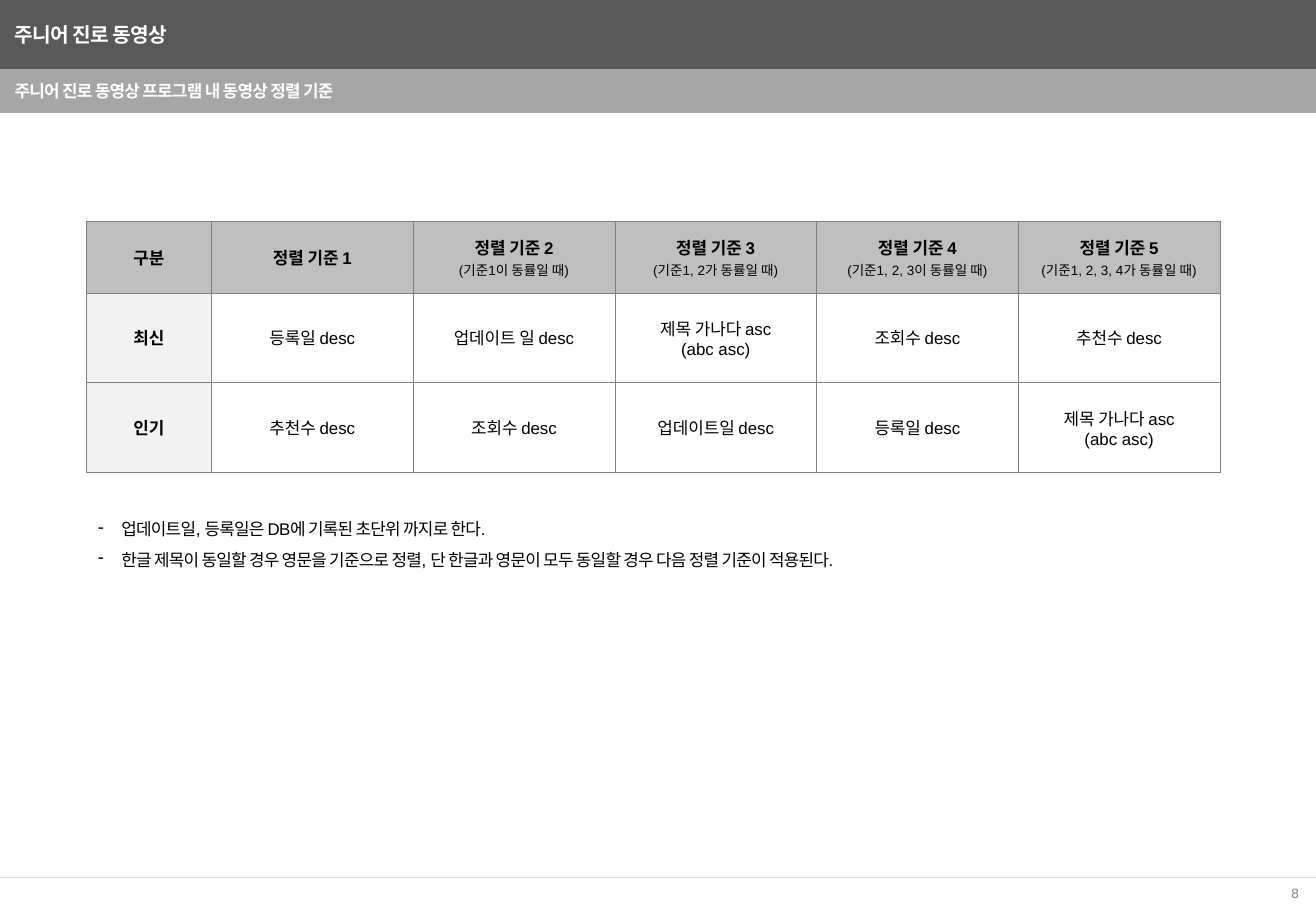
from pptx import Presentation
from pptx.dml.color import RGBColor
from pptx.enum.shapes import MSO_SHAPE, MSO_CONNECTOR
from pptx.enum.text import MSO_ANCHOR, MSO_AUTO_SIZE, PP_ALIGN
from pptx.oxml.ns import qn
from pptx.util import Inches, Pt
from lxml.etree import SubElement

TITLE = "주니어 진로 동영상"
SUB = "주니어 진로 동영상 프로그램 내 동영상 정렬 기준"
PAGE = "8"
ROWS = [
    ["구분", "정렬 기준 1", "정렬 기준 2\n(기준1이 동률일 때)",
     "정렬 기준 3\n(기준1, 2가 동률일 때)",
     "정렬 기준 4\n(기준1, 2, 3이 동률일 때)",
     "정렬 기준 5\n(기준1, 2, 3, 4가 동률일 때)"],
    ["최신", "등록일 desc", "업데이트 일 desc",
     "제목 가나다 asc\n(abc asc)", "조회수 desc", "추천수 desc"],
    ["인기", "추천수 desc", "조회수 desc", "업데이트일 desc",
     "등록일 desc", "제목 가나다 asc\n(abc asc)"],
]
NOTES = [
    "업데이트일, 등록일은 DB에 기록된 초단위 까지로 한다.",
    "한글 제목이 동일할 경우 영문을 기준으로 정렬, "
    "단 한글과 영문이 모두 동일할 경우 다음 정렬 기준이 적용된다.",
]
HEX = {"dark": "595959", "mid": "A6A6A6", "head": "BFBFBF", "side": "F2F2F2",
       "white": "FFFFFF", "black": "000000", "grid": "808080", "rule": "D9D9D9"}
LATIN, KOREAN = "Arial", "Noto Sans CJK KR"
WIDE, HIGH = 10.83, 7.5
BAR, BAND = 0.57, 0.36
LEFT, TOP = 0.71, 1.82
COLS = [1.03] + [1.66] * 5
TALL = [0.59, 0.74, 0.74]
FOOT = 7.22


def color(key):
    return RGBColor.from_string(HEX[key])


def paint(para, size, key="black", bold=False, tight=False, face=LATIN):
    for run in para.runs:
        font = run.font
        font.size, font.bold, font.name = Pt(size), bold, face
        font.color.rgb = color(key)
        props = run._r.get_or_add_rPr()
        SubElement(props, qn("a:ea")).set("typeface", KOREAN)
        if tight:
            props.set("spc", "-40")


def frame(shape, text, left=0.09, anchor=MSO_ANCHOR.MIDDLE):
    body = shape.text_frame
    body.text = text
    body.word_wrap = True
    body.auto_size = MSO_AUTO_SIZE.NONE
    body.vertical_anchor = anchor
    body.margin_left, body.margin_right = Inches(left), Inches(0.09)
    body.margin_top = body.margin_bottom = Inches(0.04)
    return body.paragraphs


def bar(top, height, key):
    shape = slide.shapes.add_shape(
        MSO_SHAPE.RECTANGLE, 0, Inches(top), Inches(WIDE), Inches(height))
    shape.shadow.inherit = False
    shape.fill.solid()
    shape.fill.fore_color.rgb = color(key)
    shape.line.fill.background()
    return shape


def box(left, top, width, height):
    return slide.shapes.add_textbox(*map(Inches, (left, top, width, height)))


def border(cell):
    props = cell._tc.get_or_add_tcPr()
    for side in ("lnL", "lnR", "lnT", "lnB"):
        line = SubElement(props, qn("a:" + side), w=str(Pt(0.25)))
        fill = SubElement(line, qn("a:solidFill"))
        SubElement(fill, qn("a:srgbClr"), val=HEX["grid"])


deck = Presentation()
deck.slide_width, deck.slide_height = Inches(WIDE), Inches(HIGH)
slide = deck.slides.add_slide(deck.slide_layouts[5])

rule = slide.shapes.add_connector(
    MSO_CONNECTOR.STRAIGHT, 0, Inches(FOOT), Inches(WIDE), Inches(FOOT))
rule.line.color.rgb = color("rule")
rule.line.width = Pt(0.25)
SubElement(rule.element.spPr, qn("a:effectLst"))

page = frame(box(10.09, 7.24, 0.69, 0.22), PAGE)[0]
page.alignment = PP_ALIGN.RIGHT
paint(page, 8, "grid")

bar(0, BAR, "dark")
band = bar(BAR, BAND, "mid")
sub = frame(band, SUB, 0.12)[0]
sub.alignment = PP_ALIGN.LEFT
paint(sub, 10, "white", True, True, KOREAN)

title = slide.shapes.title
title.left, title.top = Inches(0.03), Inches(0.14)
title.width, title.height = Inches(10.75), Inches(0.29)
head = frame(title, TITLE)[0]
head.alignment = PP_ALIGN.LEFT
paint(head, 12, "white", True, True)
band.element.addnext(title.element)

table = slide.shapes.add_table(
    len(ROWS), len(COLS), Inches(LEFT), Inches(TOP),
    Inches(sum(COLS)), Inches(sum(TALL))).table
for col, width in zip(table.columns, COLS):
    col.width = Inches(width)
for row, height in zip(table.rows, TALL):
    row.height = Inches(height)
for r, texts in enumerate(ROWS):
    for c, text in enumerate(texts):
        cell = table.cell(r, c)
        cell.text_frame.text = text
        cell.vertical_anchor = MSO_ANCHOR.MIDDLE
        border(cell)
        cell.fill.solid()
        cell.fill.fore_color.rgb = color(
            "head" if r == 0 else "side" if c == 0 else "white")
        for n, para in enumerate(cell.text_frame.paragraphs):
            para.alignment = PP_ALIGN.CENTER
            small = r == 0 and n > 0
            paint(para, 8 if small else 10,
                  bold=(r == 0 or c == 0) and not small)

notes = box(LEFT, 4.15, 9.41, 0.61)
for para in frame(notes, "\n".join(NOTES), 0.1, MSO_ANCHOR.TOP):
    para.line_spacing = 1.5
    paint(para, 10, tight=True)
    props = para._p.get_or_add_pPr()
    props.set("marL", str(Inches(0.19)))
    props.set("indent", str(-Inches(0.19)))
    SubElement(props, qn("a:buChar")).set("char", "-")

deck.save("out.pptx")
